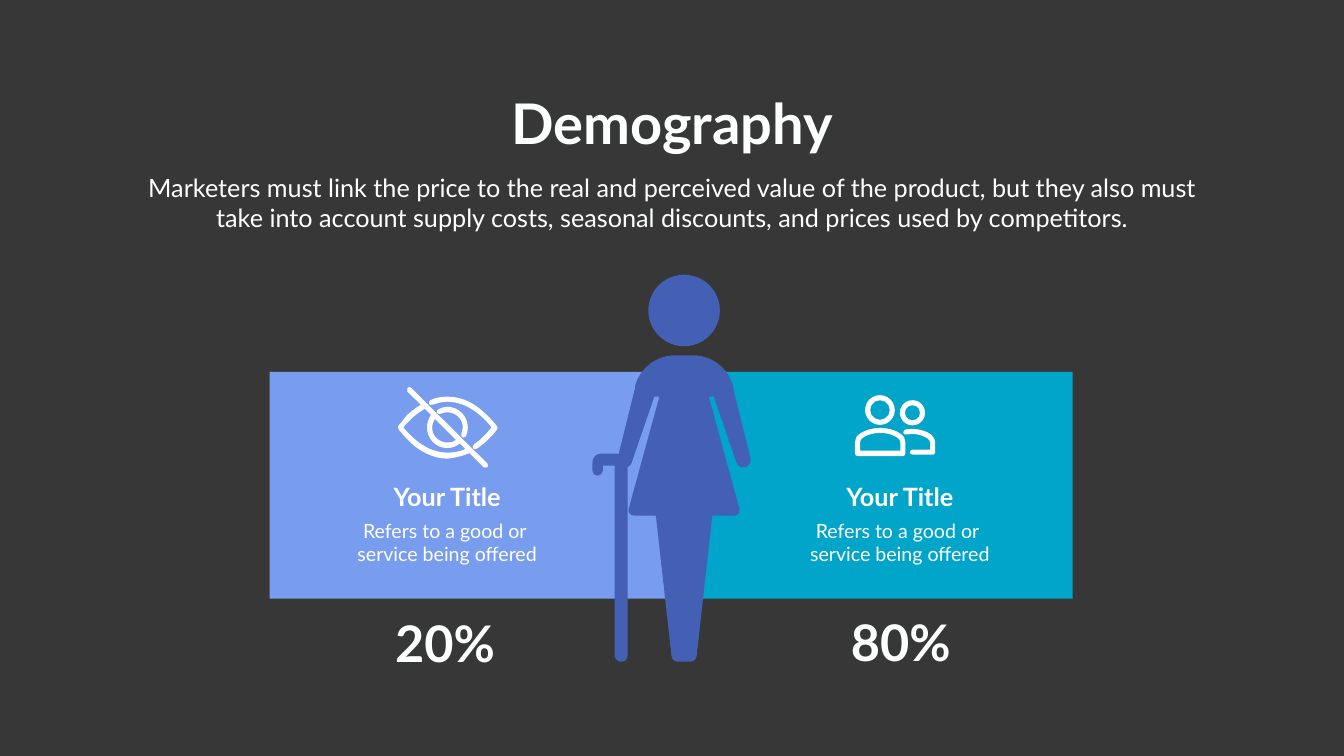
from pptx import Presentation
from pptx import util as u
from pptx.dml.color import RGBColor
from pptx.enum import shapes, text
from pptx.oxml import ns, xmlchemy

COLOURS = {"ground": "373737", "left": "799DEE", "right": "00A5C9",
           "figure": "4460B4", "heading": "FEFFFF", "white": "FFFFFF"}

deck = Presentation()
deck.slide_width, deck.slide_height = u.Inches(26.66), u.Inches(15)
cell = deck.slide_height // 15  # one row or column of the grid
page = deck.slides.add_slide(deck.slide_layouts[0])
page.background.fill.solid()
page.background.fill.fore_color.rgb = RGBColor.from_string(COLOURS["ground"])


def write(box, place, lines, size, colour="heading", bold=False, wrap=True):
    """Place a text box, in grid cells, and fill it with centred lines."""
    box.left, box.top, box.width, box.height = [round(n * cell) for n in place]
    frame = box.text_frame
    frame.word_wrap = wrap
    frame.auto_size = text.MSO_AUTO_SIZE.NONE
    frame.vertical_anchor = text.MSO_ANCHOR.TOP
    for index, line in enumerate(lines):
        para = frame.add_paragraph() if index else frame.paragraphs[0]
        para.alignment = text.PP_ALIGN.CENTER
        para.space_before = u.Pt(0)
        span = para.add_run()
        span.text = line
        span.font.name, span.font.size, span.font.bold = "Lato", u.Pt(size), bold
        span.font.color.rgb = RGBColor.from_string(COLOURS[colour])


def draw(contours, colour, axis=None):
    """Fill contours of points (x, y) and cubic curves (six numbers).

    With an axis, each contour is a right half that is mirrored about it.
    """
    builder, counts = None, []
    for contour in contours:
        points = [step[i:i + 2] for step in contour for i in range(0, len(step), 2)]
        steps = [len(step) // 2 for step in contour[1:]]
        if axis is not None:
            points += [(2 * axis - x, y) for x, y in points[-2::-1]]
            steps += steps[::-1]
        counts += steps
        points = [(x * cell, y * cell) for x, y in points]
        if builder is None:
            builder = page.shapes.build_freeform(*points[0])
        else:
            builder.move_to(*points[0])
        builder.add_line_segments(points[1:], close=True)
    shape = builder.convert_to_shape()
    shape.shadow.inherit = False
    shape.fill.solid()
    shape.fill.fore_color.rgb = RGBColor.from_string(COLOURS[colour])
    shape.line.fill.background()

    # Join each run of three line steps that stands for a curve
    lines = iter(list(shape.element.iter(ns.qn("a:lnTo"))))
    for count in counts:
        group = [next(lines) for _ in range(count)]
        if count == 3:
            curve = xmlchemy.OxmlElement("a:cubicBezTo")
            group[0].addprevious(curve)
            for line in group:
                curve.append(line[0])
                line.getparent().remove(line)


# Heading
write(page.shapes.title, (9.97, 1.71, 6.72, 1.45), ["Demography"], 80,
      bold=True, wrap=False)
write(page.placeholders[1], (2.68, 3.37, 21.3, 1.31),
      ["Marketers must link the price to the real and perceived value of the product, "
       "but they also must take into account supply costs, seasonal discounts, and "
       "prices used by competitors."], 36)

# Panels, icon heads and the head of the figure
for kind, place, colour in (
        ("RECTANGLE", (5.35, 7.38, 7.97, 4.5), "left"),
        ("RECTANGLE", (13.32, 7.38, 7.96, 4.5), "right"),
        ("DONUT", (17.16, 7.84, 0.59, 0.59), "white"),
        ("DONUT", (17.85, 7.94, 0.5, 0.5), "white"),
        ("OVAL", (12.86, 5.45, 1.42, 1.42), "figure")):
    shape = page.shapes.add_shape(shapes.MSO_SHAPE[kind], *[round(n * cell) for n in place])
    shape.shadow.inherit = False
    shape.fill.solid()
    shape.fill.fore_color.rgb = RGBColor.from_string(COLOURS[colour])
    shape.line.fill.background()
    if kind == "DONUT":
        shape.adjustments[0] = 0.1 / place[2]

# Crossed-out eye: upper lid, iris, then lower lid with the slash
draw([[(9.86, 8.46), (9.76, 8.33, 9.64, 8.21, 9.53, 8.12),
       (9.33, 7.95, 9.1, 7.87, 8.87, 7.87), (8.76, 7.87, 8.64, 7.89, 8.54, 7.94),
       (8.52, 7.95, 8.5, 7.97, 8.51, 8.01), (8.52, 8.03, 8.55, 8.04, 8.58, 8.03),
       (8.68, 8, 8.77, 7.97, 8.87, 7.97), (9.3, 7.97, 9.62, 8.31, 9.75, 8.48),
       (9.64, 8.62, 9.53, 8.73, 9.41, 8.81), (9.38, 8.84, 9.37, 8.87, 9.38, 8.89),
       (9.4, 8.92, 9.43, 8.92, 9.46, 8.9), (9.61, 8.8, 9.75, 8.67, 9.86, 8.52),
       (9.87, 8.5, 9.87, 8.47, 9.86, 8.46)]], "white")
draw([[(9.18, 8.68), (9.2, 8.68, 9.23, 8.67, 9.24, 8.66),
       (9.27, 8.6, 9.28, 8.54, 9.28, 8.48), (9.28, 8.26, 9.1, 8.07, 8.87, 8.07),
       (8.81, 8.07, 8.76, 8.09, 8.7, 8.12), (8.67, 8.13, 8.66, 8.15, 8.67, 8.19),
       (8.69, 8.21, 8.72, 8.22, 8.74, 8.21), (8.79, 8.19, 8.82, 8.18, 8.87, 8.18),
       (9.04, 8.18, 9.18, 8.31, 9.18, 8.48), (9.18, 8.53, 9.16, 8.56, 9.15, 8.61),
       (9.14, 8.63, 9.15, 8.67, 9.18, 8.68)]], "white")
draw([[(8.16, 7.7), (8.14, 7.67, 8.11, 7.67, 8.08, 7.7),
       (8.07, 7.72, 8.07, 7.74, 8.08, 7.77), (8.35, 8.03),
       (8.26, 8.08, 8.16, 8.16, 8.07, 8.24), (8.02, 8.31, 7.96, 8.38, 7.9, 8.45),
       (7.89, 8.47, 7.89, 8.48, 7.91, 8.52), (8, 8.64, 8.11, 8.75, 8.22, 8.85),
       (8.43, 9.01, 8.65, 9.1, 8.88, 9.1), (9.03, 9.08, 9.18, 9.05, 9.31, 8.99),
       (9.59, 9.27), (9.61, 9.28, 9.65, 9.28, 9.67, 9.27),
       (9.68, 9.24, 9.68, 9.21, 9.67, 9.2)],
      [(8.63, 8.31), (9.05, 8.73), (9, 8.77, 8.94, 8.78, 8.87, 8.78),
       (8.71, 8.78, 8.57, 8.65, 8.57, 8.48), (8.57, 8.41, 8.6, 8.36, 8.63, 8.31)],
      [(8.89, 8.98), (8.46, 8.99, 8.14, 8.65, 8, 8.48),
       (8.13, 8.32, 8.28, 8.19, 8.43, 8.11), (8.55, 8.23),
       (8.5, 8.3, 8.47, 8.39, 8.47, 8.48), (8.47, 8.71, 8.65, 8.89, 8.87, 8.89),
       (8.96, 8.89, 9.05, 8.86, 9.12, 8.8), (9.23, 8.91),
       (9.12, 8.96, 9.01, 8.98, 8.89, 8.98)]], "white")

# Two people: front shoulders, then the back pair
draw([[(17.46, 8.49), (17.61, 8.49, 17.76, 8.53, 17.87, 8.61),
       (17.93, 8.65, 17.96, 8.71, 17.96, 8.78), (17.96, 9),
       (17.96, 9.02, 17.94, 9.05, 17.91, 9.05), (17.46, 9.05)],
      [(17.46, 8.59), (17.59, 8.59, 17.71, 8.62, 17.81, 8.69),
       (17.84, 8.71, 17.86, 8.75, 17.86, 8.78), (17.86, 8.94), (17.46, 8.94)]],
     "white", axis=17.46)
draw([[(18.51, 9.02), (18.11, 9.02), (18.07, 9.02, 18.05, 9, 18.05, 8.98),
       (18.05, 8.94, 18.07, 8.92, 18.11, 8.92), (18.45, 8.92), (18.45, 8.78),
       (18.45, 8.76, 18.44, 8.73, 18.4, 8.7), (18.32, 8.65, 18.21, 8.61, 18.1, 8.61),
       (18.06, 8.61, 18.02, 8.62, 17.98, 8.62), (17.95, 8.63, 17.92, 8.61, 17.92, 8.59),
       (17.91, 8.55, 17.94, 8.53, 17.96, 8.52), (18.01, 8.52, 18.05, 8.51, 18.1, 8.51),
       (18.23, 8.51, 18.37, 8.55, 18.47, 8.62), (18.52, 8.66, 18.55, 8.73, 18.55, 8.78),
       (18.55, 8.98), (18.55, 9, 18.53, 9.02, 18.51, 9.02)]], "white")

# Cane and body
draw([[(12.22, 9), (11.92, 9), (11.83, 9, 11.75, 9.08, 11.75, 9.18), (11.75, 9.34),
       (11.75, 9.39, 11.8, 9.44, 11.85, 9.44), (11.91, 9.44, 11.96, 9.39, 11.96, 9.34),
       (11.96, 9.24), (12.19, 9.24), (12.19, 13),
       (12.19, 13.07, 12.25, 13.13, 12.33, 13.13), (12.4, 13.13, 12.45, 13.07, 12.45, 13),
       (12.45, 9.24), (12.45, 9.1, 12.34, 9, 12.22, 9)]], "figure")
draw([[(13.57, 7.05), (13.75, 7.05), (14.12, 7.05, 14.44, 7.3, 14.54, 7.65),
       (14.54, 7.69), (14.89, 9.1), (14.9, 9.17, 14.86, 9.24, 14.8, 9.26),
       (14.71, 9.29, 14.64, 9.26, 14.61, 9.18), (14.16, 7.87), (14.06, 7.87),
       (14.67, 10.1), (14.68, 10.16, 14.64, 10.23, 14.57, 10.23), (14.13, 10.23),
       (13.82, 13.01), (13.81, 13.08, 13.76, 13.13, 13.69, 13.13), (13.57, 13.13)]],
     "figure", axis=13.57)

# Panel texts
for centre, percent_centre, percent_top, percent in (
        (8.87, 8.83, 12.09, "20%"), (17.85, 17.87, 12.08, "80%")):
    for middle, top, width, height, lines, size, colour, bold in (
            (percent_centre, percent_top, 2.56, 1.31, [percent], 72, "heading", True),
            (centre, 9.51, 2.61, 0.71, ["Your Title"], 36, "white", True),
            (centre, 10.24, 3.97, 1.04,
             ["Refers to a good or ", "service being offered"], 28, "white", False)):
        write(page.shapes.add_textbox(0, 0, 0, 0),
              (middle - width / 2, top, width, height), lines, size, colour, bold)

deck.save("out.pptx")
